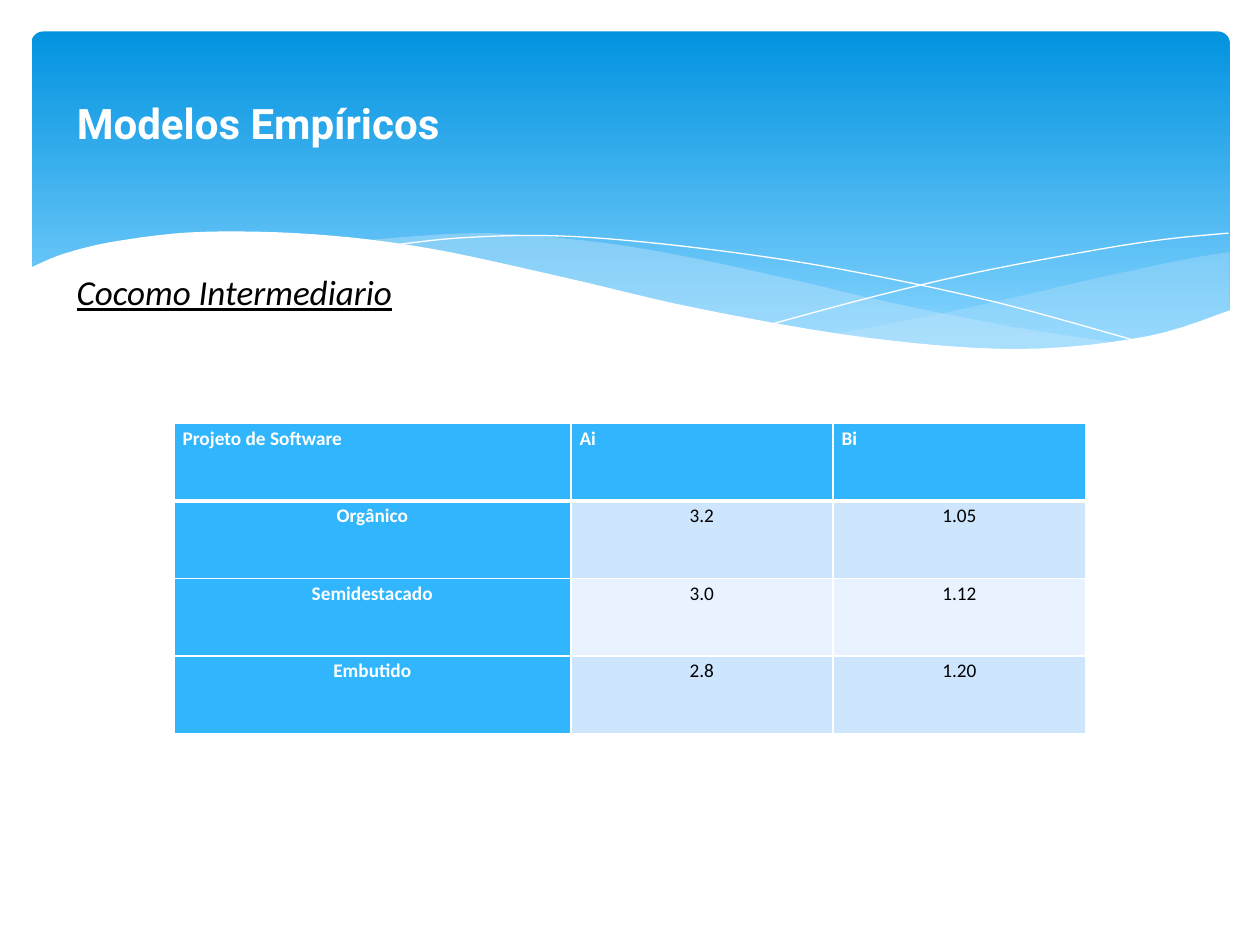
from lxml import etree
from pptx import Presentation
from pptx.dml.color import RGBColor
from pptx.enum.shapes import MSO_SHAPE as SHAPE
from pptx.enum.text import MSO_ANCHOR as ANCHOR, MSO_AUTO_SIZE as AUTO, PP_ALIGN as ALIGN
from pptx.oxml.ns import qn
from pptx.util import Inches, Pt

WHITE = RGBColor(0xFF, 0xFF, 0xFF)
BLACK = RGBColor(0x00, 0x00, 0x00)
DEEP_BLUE = RGBColor(0x02, 0x93, 0xE0)
SKY_BLUE = RGBColor(0x83, 0xD3, 0xFE)
PALE_BLUE = RGBColor(0xC6, 0xE7, 0xFC)
HEADER_BLUE = RGBColor(0x31, 0xB6, 0xFD)
BANDS = (RGBColor(0xCE, 0xE5, 0xFE), RGBColor(0xE8, 0xF3, 0xFF))

# Wave knots in inches, from the top left of the wave region
RIGHT_TOP = [(9.53, .16), (9.12, .23), (8.38, .39), (7.56, .58), (6.83, .73), (6.38, .81)]
RIGHT_BOTTOM = [(6.38, .81), (6.82, .87), (7.34, .92), (7.91, .94), (8.49, .9),
                (9.05, .79), (9.53, .63)]
LEFT_TOP = [(8.7, .89), (7.84, .76), (6.83, .56), (6.06, .38), (5.18, .19),
            (4.42, .07), (3.57, .01), (2.63, .07)]
LEFT_BOTTOM = [(2.63, .07), (3.39, .19), (4.26, .38), (5.07, .56), (5.95, .74),
               (6.86, .88), (7.73, .94), (8.7, .89)]
FALLING_LINE = [(2.86, .11), (3.4, .05), (4.1, .03), (4.87, .08), (5.85, .2),
                (6.72, .35), (7.72, .57), (8.84, .88)]
RISING_LINE = [(5.9, .73), (6.72, .51), (7.53, .32), (8.43, .15), (9.01, .06), (9.52, .01)]
WHITE_TOP = [(9.54, .62), (8.87, .83), (7.86, .93), (6.65, .84), (5.32, .61), (4.24, .36),
             (3.17, .13), (2.27, .02), (1.38, 0), (.72, .07), (.29, .17), (0, .29)]
WHITE_CORNERS = [(0, 1.45), (9.54, 1.45)]

ROWS = [
    ("Projeto de Software", "Ai", "Bi"),
    ("Orgânico", "3.2", "1.05"),
    ("Semidestacado", "3.0", "1.12"),
    ("Embutido", "2.8", "1.20"),
]
COLUMN_WIDTHS = (3.15, 2.08, 2.01)


def smooth(knots, steps=6):
    """Return points on a Catmull-Rom curve through the knots."""
    ends = [knots[0], *knots, knots[-1]]
    points = []
    for a, b, c, d in zip(ends, ends[1:], ends[2:], ends[3:]):
        for i in range(steps):
            t = i / steps
            points.append(tuple(
                (2 * q + (r - p) * t + (2 * p - 5 * q + 4 * r - s) * t ** 2
                 + (3 * q - p - 3 * r + s) * t ** 3) / 2
                for p, q, r, s in zip(a, b, c, d)))
    return points + [knots[-1]]


def add_path(slide, left, top, points, close):
    places = [(left + Inches(x), top + Inches(y)) for x, y in points]
    builder = slide.shapes.build_freeform(*places[0])
    builder.add_line_segments(places[1:], close=close)
    sp = builder.convert_to_shape()
    sp.shadow.inherit = False
    return sp


def add_wave(slide, left, top, points, color, opacity=100):
    sp = add_path(slide, left, top, points, True)
    sp.fill.solid()
    sp.fill.fore_color.rgb = color
    sp.line.fill.background()
    if opacity < 100:
        clr = sp.fill._xPr.find(qn("a:solidFill"))[0]
        etree.SubElement(clr, qn("a:alpha")).set("val", str(opacity * 1000))


def add_wave_line(slide, left, top, points):
    sp = add_path(slide, left, top, points, False)
    sp.fill.background()
    sp.line.color.rgb = WHITE
    sp.line.width = Pt(0)


def add_band(slide, left, top, width, height):
    sp = slide.shapes.add_shape(SHAPE.ROUNDED_RECTANGLE, left, top, width, height)
    sp.adjustments[0] = 0.034
    sp.shadow.inherit = False
    sp.line.fill.background()
    sp.fill.gradient()
    sp.fill.gradient_angle = 270
    for stop, color, position in zip(sp.fill.gradient_stops, (DEEP_BLUE, SKY_BLUE), (0, 0.9)):
        stop.color.rgb = color
        stop.position = position


def add_waves(slide, left, top):
    add_wave(slide, left, top, smooth(RIGHT_TOP) + smooth(RIGHT_BOTTOM), PALE_BLUE, 29)
    add_wave(slide, left, top, smooth(LEFT_TOP) + smooth(LEFT_BOTTOM), PALE_BLUE, 40)
    for knots in (FALLING_LINE, RISING_LINE):
        add_wave_line(slide, left, top, smooth(knots))
    add_wave(slide, left, top, smooth(WHITE_TOP) + WHITE_CORNERS, WHITE)


def style_font(font, name, size, color, bold=False):
    font.name, font.size, font.bold = name, Pt(size), bold
    font.color.rgb = color


def add_subtitle(slide, left, top, width, height):
    tf = slide.shapes.add_textbox(left, top, width, height).text_frame
    tf.text = "Cocomo Intermediario"
    tf.word_wrap = False
    tf.auto_size = AUTO.SHAPE_TO_FIT_TEXT
    font = tf.paragraphs[0].runs[0].font
    style_font(font, "Calibri", 20, BLACK)
    font.italic = font.underline = True


def place_title(slide, left, top, width, height):
    title = slide.shapes.title
    title.left, title.top, title.width, title.height = left, top, width, height
    tf = title.text_frame
    tf.text = "Modelos Empíricos"
    tf.vertical_anchor = ANCHOR.TOP
    tf.auto_size = AUTO.NONE
    p = tf.paragraphs[0]
    p.alignment = ALIGN.LEFT
    style_font(p.runs[0].font, "Roboto", 24, WHITE, True)
    slide.shapes._spTree.append(title._element)  # bring in front of the band


def set_borders(cell, **widths):
    tc_pr = cell._tc.get_or_add_tcPr()
    for side in "LRTB":
        ln = etree.SubElement(tc_pr, qn(f"a:ln{side}"), w=str(Pt(widths.get(side, 1))))
        fill = etree.SubElement(ln, qn("a:solidFill"))
        etree.SubElement(fill, qn("a:srgbClr"), val=str(WHITE))


def format_cell(cell, row, column):
    is_header = row == 0 or column == 0
    set_borders(cell, T=3 if row == 1 else 1, B=3 if row == 0 else 1)
    cell.fill.solid()
    cell.fill.fore_color.rgb = HEADER_BLUE if is_header else BANDS[(row - 1) % 2]
    cell.margin_left = cell.margin_right = Inches(0.07)
    cell.margin_top = cell.margin_bottom = 0
    p = cell.text_frame.paragraphs[0]
    p.alignment = ALIGN.LEFT if row == 0 else ALIGN.CENTER
    p.line_spacing = 1.15
    p.space_after = Pt(10)
    style_font(p.runs[0].font, "Calibri", 11, WHITE if is_header else BLACK, is_header)


def add_coefficients(slide, left, top, width, height):
    table = slide.shapes.add_table(len(ROWS), len(COLUMN_WIDTHS),
                                   left, top, width, height).table
    for column, column_width in zip(table.columns, COLUMN_WIDTHS):
        column.width = Inches(column_width)
    for i, texts in enumerate(ROWS):
        for j, text in enumerate(texts):
            cell = table.cell(i, j)
            cell.text = text
            format_cell(cell, i, j)


def main():
    prs = Presentation()
    prs.slide_width, prs.slide_height = Inches(10), Inches(7.5)
    slide = prs.slides.add_slide(prs.slide_layouts[5])
    add_band(slide, Inches(0.25), Inches(0.25), Inches(9.51), Inches(2.7))
    add_waves(slide, Inches(0.23), Inches(1.84))
    add_subtitle(slide, Inches(0.51), Inches(2.1), Inches(2.76), Inches(0.44))
    place_title(slide, Inches(0.51), Inches(0.72), Inches(3.47), Inches(0.5))
    add_coefficients(slide, Inches(1.38), Inches(3.36), Inches(7.24), Inches(2.46))
    prs.save("out.pptx")


if __name__ == "__main__":
    main()
